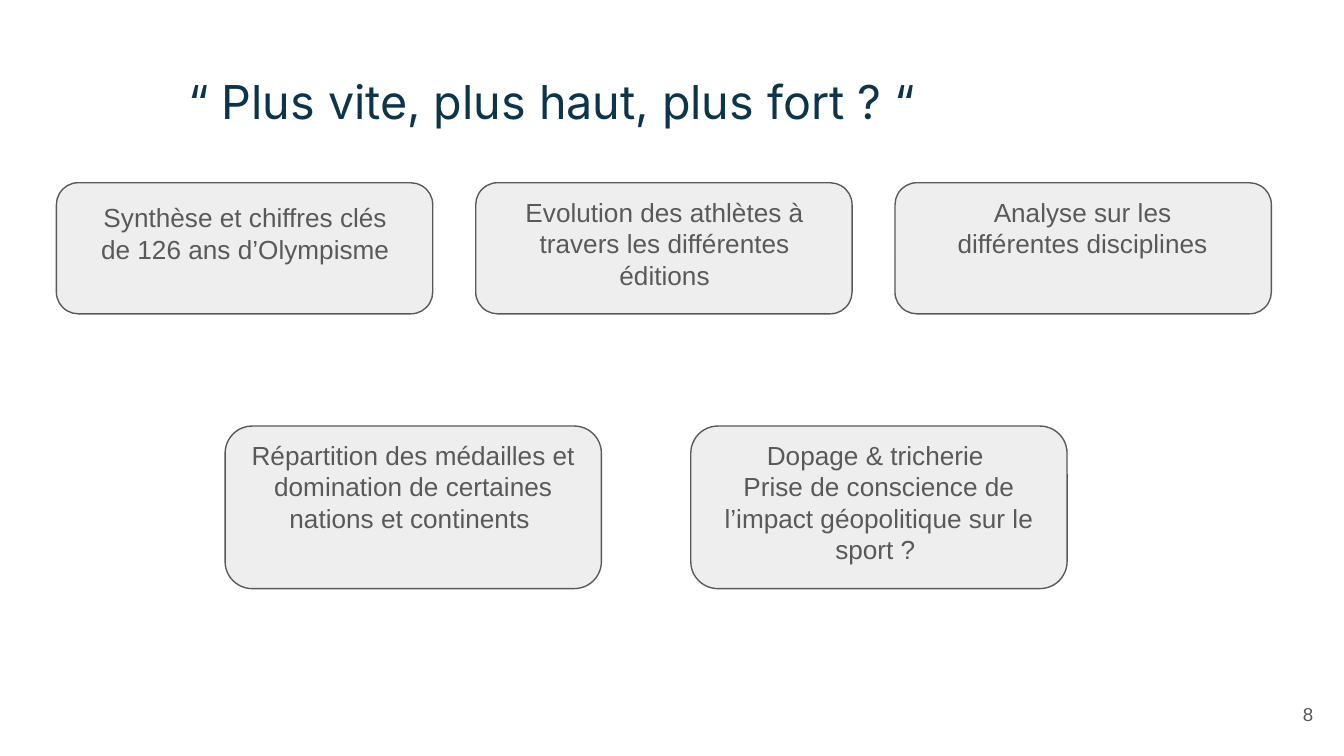
from dataclasses import dataclass

from pptx import Presentation
from pptx.dml.color import RGBColor as RGB
from pptx.enum.shapes import MSO_SHAPE as SHAPE
from pptx.enum.text import MSO_ANCHOR as ANCHOR, MSO_AUTO_SIZE as FIT, PP_ALIGN as ALIGN
from pptx.util import Pt


@dataclass(frozen=True)
class Theme:
    title: RGB = RGB(0x0E, 0x34, 0x49)
    text: RGB = RGB(0x59, 0x59, 0x59)
    card: RGB = RGB(0xEE, 0xEE, 0xEE)
    title_font: str = "Inter"
    body_font: str = "Arial"
    title_size: int = 25
    body_size: int = 14
    number_size: int = 10


T = Theme()
PX = 4572  # 200 px to the inch


def px(*lengths):
    return [n * PX for n in lengths]


def write(sp, text, size, font, color, align, anchor=ANCHOR.TOP):
    """Fill a shape with text, one paragraph per line, all in one style."""
    tf = sp.text_frame
    tf.text = text
    tf.word_wrap = True
    tf.auto_size = FIT.NONE
    tf.vertical_anchor = anchor
    tf.margin_left = tf.margin_top = tf.margin_right = tf.margin_bottom = 20 * PX
    for p in tf.paragraphs:
        p.alignment = align
        p.line_spacing = 1.0
        p.space_before = Pt(0)
        for r in p.runs:
            r.font.size = Pt(size)
            r.font.name = font
            r.font.color.rgb = color


prs = Presentation()
prs.slide_width, prs.slide_height = px(2000, 1125)
s = prs.slides.add_slide(prs.slide_layouts[5])

title = s.shapes.title
title.left, title.top, title.width, title.height = px(260, 88, 1456, 116)
write(title, "“ Plus vite, plus haut, plus fort ? “", T.title_size,
      T.title_font, T.title, ALIGN.LEFT)

CARD_W, LABEL_H = 560, 242
# first card left, step, top, card height, then (label, left, top, width) per card
rows = [
    (84, 624, 272, 195, [
        ("Synthèse et chiffres clés de 126 ans d’Olympisme", 126, 280, 478),
        ("Evolution des athlètes à travers les différentes éditions", 750, 272, 478),
        ("Analyse sur les différentes disciplines", 1372, 272, 478),
    ]),
    (335, 693, 634, 242, [
        ("Répartition des médailles et domination de certaines nations et continents ",
         335, 634, 560),
        ("Dopage & tricherie \nPrise de conscience de l’impact géopolitique sur le sport ? ",
         1036, 634, 544),
    ]),
]
for left, step, top, height, labels in rows:
    for i, (label, label_left, label_top, label_w) in enumerate(labels):
        card = s.shapes.add_shape(SHAPE.ROUNDED_RECTANGLE,
                                  *px(left + i * step, top, CARD_W, height))
        card.shadow.inherit = False
        card.fill.solid()
        card.fill.fore_color.rgb = T.card
        card.line.color.rgb = T.text
        card.line.width = Pt(0.75)
        box = s.shapes.add_textbox(*px(label_left, label_top, label_w, LABEL_H))
        write(box, label, T.body_size, T.body_font, T.text, ALIGN.CENTER)

number = s.shapes.add_textbox(*px(1854, 1020, 120, 86))
write(number, "8", T.number_size, T.body_font, T.text, ALIGN.RIGHT, ANCHOR.MIDDLE)

prs.save("out.pptx")
